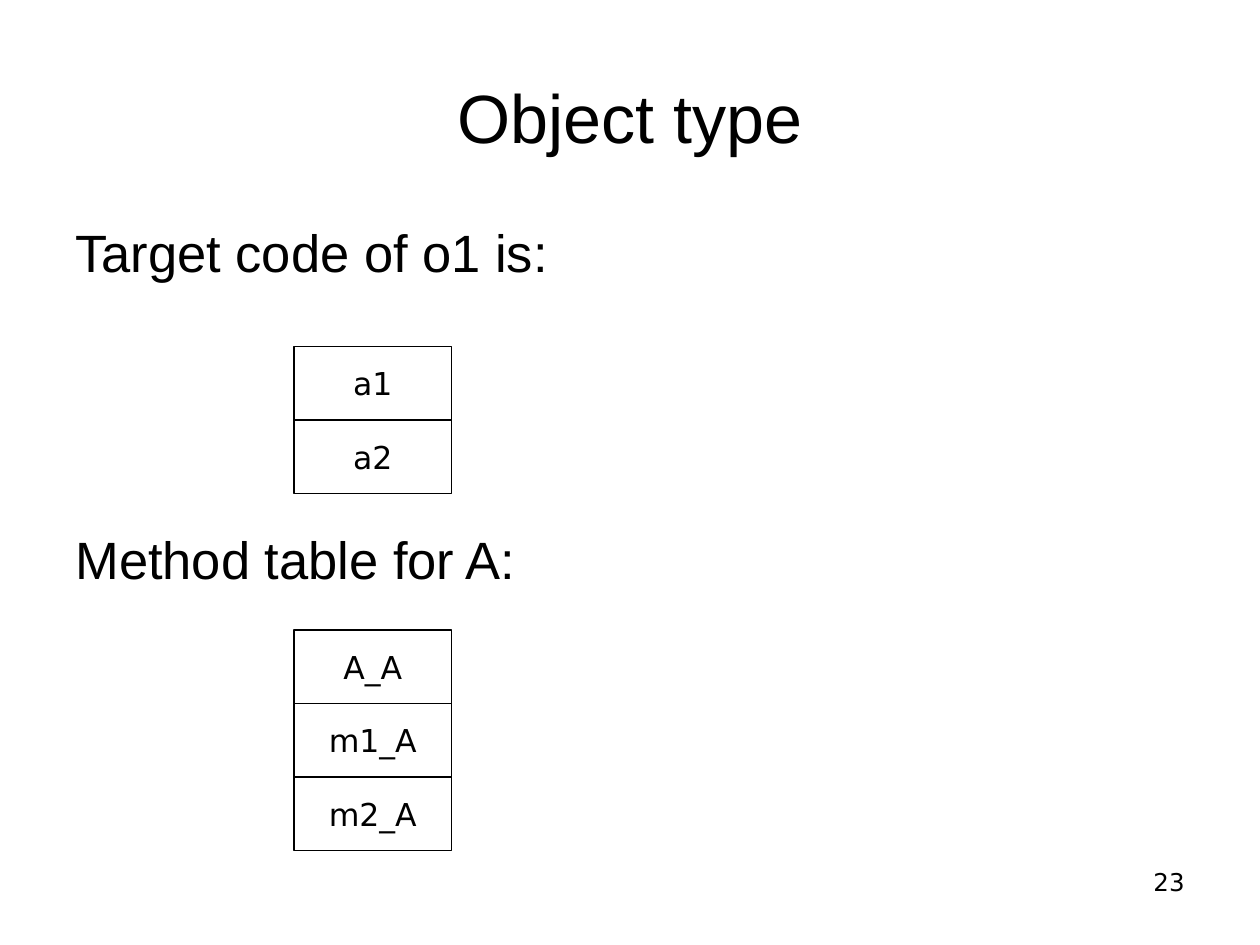
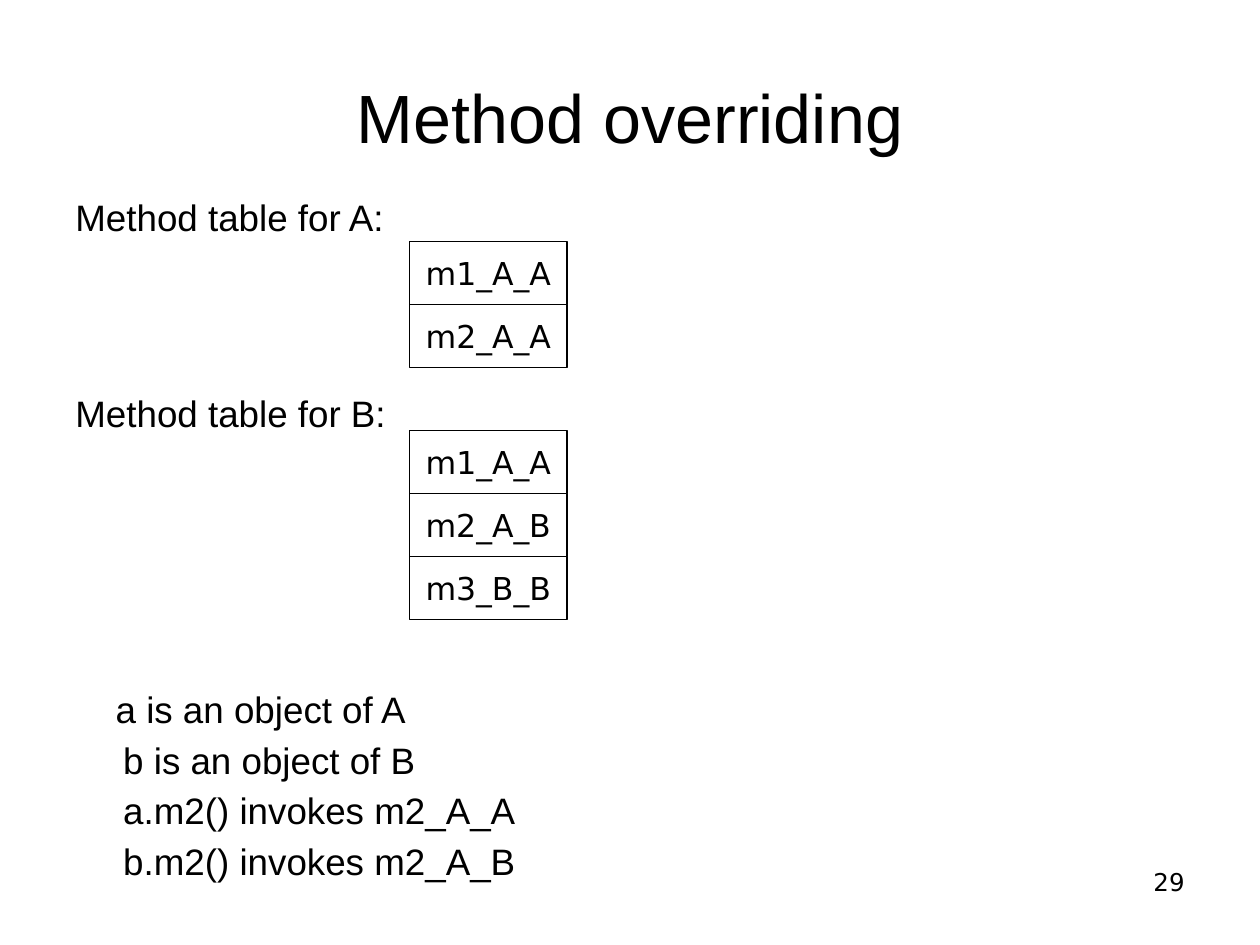
"""Two slides on object layouts and method tables."""
from dataclasses import dataclass

from pptx import Presentation
from pptx.dml.color import RGBColor
from pptx.enum.shapes import MSO_SHAPE as Shape
from pptx.enum.text import MSO_ANCHOR as Anchor, PP_ALIGN as Align
from pptx.util import Emu, Inches, Pt

WIDTH, HEIGHT = Inches(10), Inches(7.5)
COLS, ROWS = 120, 90
INK = "000000"
SANS, MONITOR = "Arial", "DejaVu Sans"


@dataclass(frozen=True)
class Box:
    """A rectangle in grid columns and rows."""
    col: float
    row: float
    cols: float
    rows: float

    def emu(self) -> tuple[Emu, Emu, Emu, Emu]:
        """Return left, top, width and height."""
        w, h = WIDTH / COLS, HEIGHT / ROWS
        return (Emu(round(self.col * w)), Emu(round(self.row * h)),
                Emu(round(self.cols * w)), Emu(round(self.rows * h)))


@dataclass(frozen=True)
class Line:
    """A body line with the space above it in points and its indent in inches."""
    text: str
    before: float
    indent: float = 0


@dataclass(frozen=True)
class Stack:
    """Equal cells piled from one grid position."""
    col: float
    row: float
    cell_rows: float
    labels: tuple[str, ...]


@dataclass(frozen=True)
class Page:
    """The content of one slide."""
    title: str
    number: str
    body: Box
    size: float
    spacing: float
    lines: tuple[Line, ...]
    stacks: tuple[Stack, ...]


TITLE = Box(6, 3.6, 108, 15)
NUMBER = Box(86, 82, 28, 6.25)
CELL_COLS = 15

PAGES = (
    Page("Object type", "23", Box(6, 21, 108, 59.4), 30, 1,
         (Line("Target code of o1 is:", 7.5), Line("Method table for A:", 139)),
         (Stack(28, 33, 7, ("a1", "a2")),
          Stack(28, 60, 7, ("A_A", "m1_A", "m2_A")))),
    Page("Method overriding", "29", Box(6, 19, 108, 71), 21, 0.9,
         (Line("Method table for A:", 5.2), Line("Method table for B:", 89.7),
          Line("a is an object of A", 146.3, 0.32),
          Line("b is an object of B", 6.2, 0.38),
          Line("a.m2() invokes m2_A_A", 6.2, 0.38),
          Line("b.m2() invokes m2_A_B", 6.2, 0.38)),
         (Stack(39, 23, 6, ("m1_A_A", "m2_A_A")),
          Stack(39, 41, 6, ("m1_A_A", "m2_A_B", "m3_B_B")))),
)


def color(value: str) -> RGBColor:
    """Turn a hex string into a colour."""
    return RGBColor.from_string(value)


def add_run(p, text: str, size: float, font: str) -> None:
    """Add one styled run to a paragraph."""
    r = p.add_run()
    r.text = text
    r.font.size, r.font.name = Pt(size), font
    r.font.color.rgb = color(INK)


def add_text(s, box: Box, text: str, size: float, font: str, align: Align,
             anchor: Anchor = Anchor.TOP) -> None:
    """Add a text box holding one line."""
    tf = s.shapes.add_textbox(*box.emu()).text_frame
    tf.word_wrap, tf.vertical_anchor = True, anchor
    p = tf.paragraphs[0]
    p.alignment = align
    add_run(p, text, size, font)


def add_body(s, page: Page) -> None:
    """Add the body lines in one text box."""
    tf = s.shapes.add_textbox(*page.body.emu()).text_frame
    tf.word_wrap, tf.margin_top = True, 0
    for i, line in enumerate(page.lines):
        p = tf.add_paragraph() if i else tf.paragraphs[0]
        p.space_before, p.line_spacing = Pt(line.before), page.spacing
        p._p.get_or_add_pPr().set("marL", str(Inches(line.indent)))
        add_run(p, line.text, page.size, SANS)


def add_stack(s, stack: Stack) -> None:
    """Draw a pile of outlined cells."""
    for i, label in enumerate(stack.labels):
        box = Box(stack.col, stack.row + i * stack.cell_rows, CELL_COLS, stack.cell_rows)
        sp = s.shapes.add_shape(Shape.RECTANGLE, *box.emu())
        sp.shadow.inherit = False
        sp.fill.background()
        sp.line.color.rgb, sp.line.width = color(INK), Pt(0.75)
        tf = sp.text_frame
        tf.word_wrap, tf.vertical_anchor = False, Anchor.MIDDLE
        p = tf.paragraphs[0]
        p.alignment = Align.CENTER
        add_run(p, label, 18, MONITOR)


def add_page(prs, page: Page) -> None:
    """Add one complete slide."""
    s = prs.slides.add_slide(prs.slide_layouts[6])
    add_text(s, TITLE, page.title, 39, SANS, Align.CENTER, Anchor.MIDDLE)
    add_body(s, page)
    for stack in page.stacks:
        add_stack(s, stack)
    add_text(s, NUMBER, page.number, 14, MONITOR, Align.RIGHT)


def main() -> None:
    """Build and save the slides."""
    prs = Presentation()
    prs.slide_width, prs.slide_height = WIDTH, HEIGHT
    for page in PAGES:
        add_page(prs, page)
    prs.save("out.pptx")


if __name__ == "__main__":
    main()
